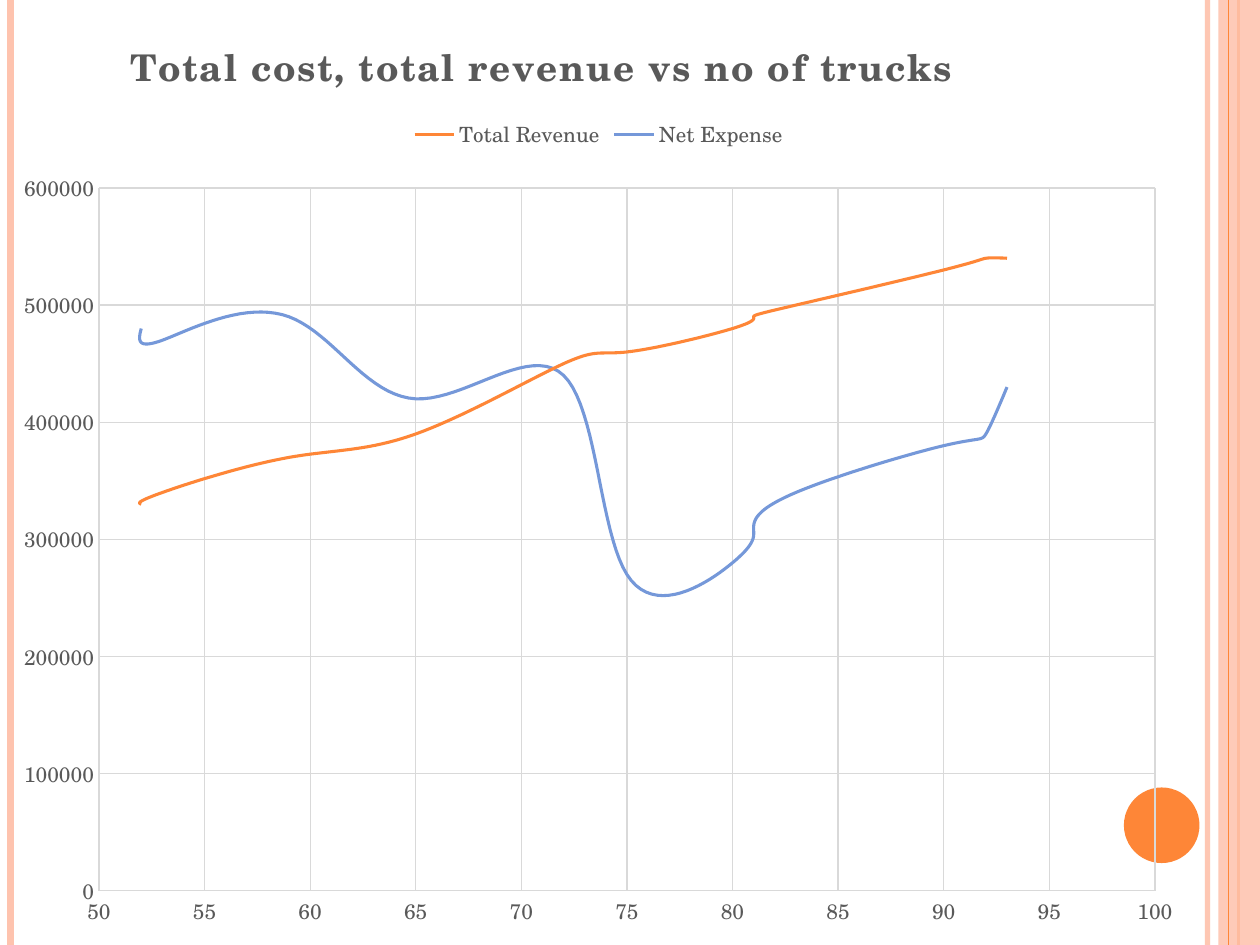
from lxml import etree
from pptx import Presentation
from pptx import util as u
from pptx.chart import data as chart_data
from pptx.dml import color
from pptx.enum import chart as ch
from pptx.enum import shapes
from pptx.oxml import ns

Pt = u.Pt
THEME = {
    "font": "TeX Gyre Schola", "orange": "FE8637", "blue": "7598D9",
    "peach": "FEC3AE", "grid": "D9D9D9", "text": "595959",
    "title_size": 21, "label_size": 12,
}
WIDTH, HEIGHT = 720, 540

TITLE = "Total cost, total revenue vs no of trucks"
TRUCKS = [52, 53, 59, 65, 72, 75, 80, 81, 83, 90, 92, 93]
SERIES = [
    ("Total Revenue", "orange",
     [330000, 340000, 370000, 390000, 450000, 460000,
      480000, 490000, 500000, 530000, 540000, 540000]),
    ("Net Expense", "blue",
     [480000, 470000, 490000, 420000, 440000, 270000,
      280000, 310000, 340000, 380000, 390000, 430000]),
]
# x, colour, line width, opacity in percent
STRIPES = [(690, "peach", 3, 93), (6, "peach", 4.5, 100),
           (707.8, "orange", 1.5, 100)]
EDGE_STRIPE = (702, "orange", 0.75, 100)
BAND = (696.24, 0, 23.76, HEIGHT)
DOT = (642.24, 450, 43.2, 43.2)
CHART = (0, 5.76, 684, 534.24)
# Places inside the chart
TITLE_SPOT = (70.6, 9.7)
LEGEND_BOX = (232.6, 57.7, 218.9, 26.7)
PLOT_BOX = (56.6, 101.7, 603.4, 401.7)


def rgb(name):
    return color.RGBColor.from_string(THEME[name])


def set_opacity(fill_parent, percent):
    if percent < 100:
        tint = fill_parent.find(".//" + ns.qn("a:srgbClr"))
        etree.SubElement(tint, ns.qn("a:alpha"), val=str(percent * 1000))


def add_stripe(slide, x, name, width, opacity):
    stripe = slide.shapes.add_connector(
        shapes.MSO_CONNECTOR.STRAIGHT, Pt(x), 0, Pt(x), Pt(HEIGHT))
    stripe.line.color.rgb = rgb(name)
    stripe.line.width = Pt(width)
    properties = stripe._element.spPr
    set_opacity(properties, opacity)
    etree.SubElement(properties, ns.qn("a:effectLst"))


def add_block(slide, kind, box, name, opacity=100):
    block = slide.shapes.add_shape(kind, *map(Pt, box))
    block.shadow.inherit = False
    block.fill.solid()
    block.fill.fore_color.rgb = rgb(name)
    block.line.fill.background()
    set_opacity(block._element.spPr, opacity)


def place(part, index, box, inner=False):
    """Fix a chart part's place, given in points inside the chart."""
    for old in part.findall(ns.qn("c:layout")):
        part.remove(old)
    layout = etree.Element(ns.qn("c:layout"))
    manual = etree.SubElement(layout, ns.qn("c:manualLayout"))
    if inner:
        etree.SubElement(manual, ns.qn("c:layoutTarget"), val="inner")
    for key in ("xMode", "yMode"):
        etree.SubElement(manual, ns.qn("c:" + key), val="edge")
    for key, length, whole in zip("xywh", box, CHART[2:] * 2):
        etree.SubElement(manual, ns.qn("c:" + key), val=str(length / whole))
    part.insert(index, layout)


def style_font(font, size, bold=False):
    font.name = THEME["font"]
    font.size = Pt(size)
    font.bold = bold
    font.color.rgb = rgb("text")


def style_axis(axis, low, high, step):
    axis.minimum_scale, axis.maximum_scale, axis.major_unit = low, high, step
    axis.major_tick_mark = axis.minor_tick_mark = ch.XL_TICK_MARK.NONE
    axis.has_major_gridlines = True
    for line in (axis.format.line, axis.major_gridlines.format.line):
        line.color.rgb = rgb("grid")
        line.width = Pt(0.75)
    axis.tick_labels.number_format = "General"
    axis.tick_labels.number_format_is_linked = False
    style_font(axis.tick_labels.font, THEME["label_size"])


def smooth_line(series):
    """Turn on smoothing, which XY series offer only in their XML."""
    element = series._element
    smooth = element.find(ns.qn("c:smooth"))
    if smooth is None:
        smooth = etree.SubElement(element, ns.qn("c:smooth"))
    smooth.set("val", "1")


def add_cost_chart(slide):
    points = chart_data.XyChartData()
    for name, _, amounts in SERIES:
        series = points.add_series(name)
        for trucks, amount in zip(TRUCKS, amounts):
            series.add_data_point(trucks, amount)
    chart = slide.shapes.add_chart(
        ch.XL_CHART_TYPE.XY_SCATTER_SMOOTH_NO_MARKERS,
        *map(Pt, CHART), points).chart
    style_font(chart.font, THEME["label_size"])

    plot = chart.plots[0]
    plot.vary_by_categories = False
    for series, (_, name, _) in zip(plot.series, SERIES):
        smooth_line(series)
        series.marker.style = ch.XL_MARKER_STYLE.NONE
        series.format.line.color.rgb = rgb(name)
        series.format.line.width = Pt(1.75)

    style_axis(chart.category_axis, 50, 100, 5)
    style_axis(chart.value_axis, 0, 600000, 100000)

    chart.has_title = True
    chart.chart_title.include_in_layout = False
    heading = chart.chart_title.text_frame.paragraphs[0]
    run = heading.add_run()
    run.text = TITLE
    for font in (heading.font, run.font):
        style_font(font, THEME["title_size"], bold=True)
    run.font._element.set("spc", "100")

    chart.has_legend = True
    chart.legend.position = ch.XL_LEGEND_POSITION.TOP
    chart.legend.include_in_layout = False
    style_font(chart.legend.font, THEME["label_size"])

    place(chart.chart_title._element, 1, TITLE_SPOT)
    place(chart.legend._element, 1, LEGEND_BOX)
    plot_area = chart._chartSpace.find(".//" + ns.qn("c:plotArea"))
    place(plot_area, 0, PLOT_BOX, inner=True)


def main():
    deck = Presentation()
    deck.slide_width, deck.slide_height = Pt(WIDTH), Pt(HEIGHT)
    slide = deck.slides.add_slide(deck.slide_layouts[6])
    for stripe in STRIPES:
        add_stripe(slide, *stripe)
    add_block(slide, shapes.MSO_SHAPE.RECTANGLE, BAND, "peach", 87)
    add_stripe(slide, *EDGE_STRIPE)
    add_block(slide, shapes.MSO_SHAPE.OVAL, DOT, "orange")
    add_cost_chart(slide)
    deck.save("out.pptx")


if __name__ == "__main__":
    main()
